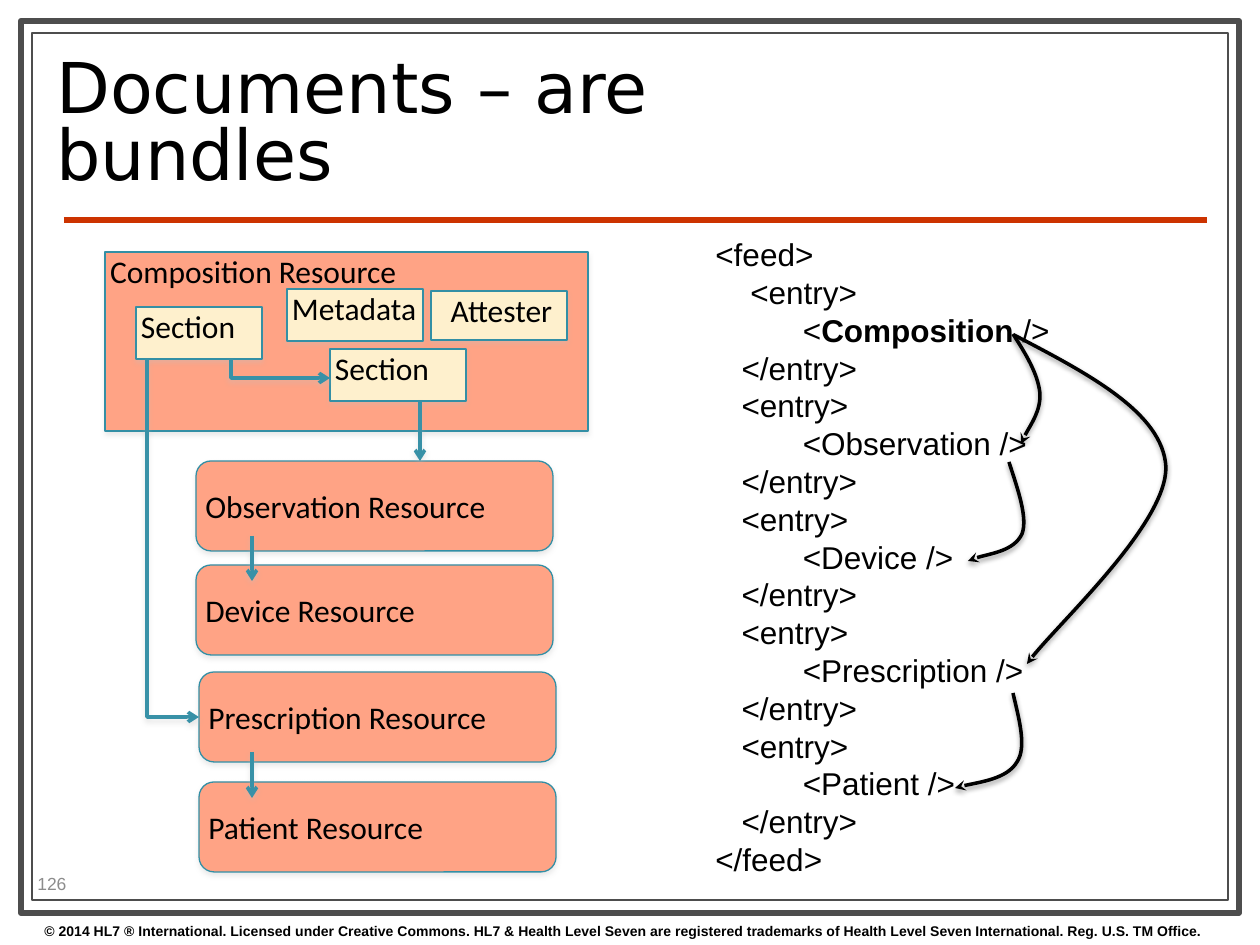
import pptx
import pptx.util
import pptx.dml.color
import pptx.enum.shapes
import pptx.enum.text
import pptx.oxml.ns
import lxml.etree

PX = 914400 / 126  # EMU per pixel
COLORS = {
    "paper": "FFFFFF", "frame": "4D4D4D", "rule": "CC3300", "ink": "000000",
    "page": "8C8C8C", "resource": "FFA385", "part": "FEF0CD",
    "outline": "338FA5", "link": "3891A7", "shade": "C0C0C0",
}
KINDS = pptx.enum.shapes.MSO_SHAPE
ANCHOR = pptx.enum.text.MSO_ANCHOR
ALIGN = pptx.enum.text.PP_ALIGN
qn = pptx.oxml.ns.qn


def emu(*lengths):
    return [round(length * PX) for length in lengths]


def rgb(name):
    return pptx.dml.color.RGBColor.from_string(COLORS[name])


def shift(box, points):
    return [(box[0] + x, box[1] + y) for x, y in points]


def set_line(shape, color, width):
    shape.line.color.rgb = rgb(color)
    shape.line.width = pptx.util.Pt(width)


def set_effects(shape, shade=None, alpha=35, distance=22860):
    """Replace the theme shadow with none, or with a soft one straight below."""
    props = shape._element.spPr
    effects = props.find(qn("a:effectLst"))
    if effects is None:
        effects = lxml.etree.SubElement(props, qn("a:effectLst"))
    if shade:
        shadow = lxml.etree.SubElement(
            effects, qn("a:outerShdw"), blurRad="38100", dist=str(distance),
            dir="5400000", rotWithShape="0")
        tint = lxml.etree.SubElement(shadow, qn("a:srgbClr"), val=COLORS[shade])
        lxml.etree.SubElement(tint, qn("a:alpha"), val=str(alpha * 1000))


def style_arrow(shape, color, head, shade):
    set_line(shape, color, 2)
    outline = shape._element.spPr.find(qn("a:ln"))
    lxml.etree.SubElement(outline, qn("a:tailEnd"), type=head)
    set_effects(shape, shade, 38, 20320)


def format_runs(frame, size, font, color="ink", bold=False):
    for paragraph in frame.paragraphs:
        for run in paragraph.runs:
            run.font.size = pptx.util.Pt(size)
            run.font.name = font
            run.font.color.rgb = rgb(color)
            run.font.bold = bold


def add_label(slide, box, text, size, font, color="ink", bold=False,
              anchor=ANCHOR.TOP):
    frame = slide.shapes.add_textbox(*emu(*box)).text_frame
    frame.word_wrap = True
    frame.vertical_anchor = anchor
    frame.text = text
    format_runs(frame, size, font, color, bold)
    return frame


def add_box(slide, kind, box, fill, line, width):
    shape = slide.shapes.add_shape(kind, *emu(*box))
    shape.shadow.inherit = False
    shape.fill.solid()
    shape.fill.fore_color.rgb = rgb(fill)
    set_line(shape, line, width)
    return shape


def add_resource(slide, kind, box, fill, text, anchor=ANCHOR.TOP, align=ALIGN.LEFT):
    shape = add_box(slide, kind, box, fill, "outline", 0.75)
    set_effects(shape, "shade")
    frame = shape.text_frame
    frame.margin_left = emu(5)[0]
    frame.margin_top = frame.margin_right = frame.margin_bottom = 0
    frame.vertical_anchor = anchor
    frame.text = text
    frame.paragraphs[0].alignment = align
    format_runs(frame, 18, "Calibri")


def add_path(slide, points):
    builder = slide.shapes.build_freeform(*points[0], scale=PX)
    builder.add_line_segments(points[1:], close=False)
    shape = builder.convert_to_shape()
    shape.fill.background()
    shape.shadow.inherit = False
    return shape


def curve_path(shape):
    """Turn each three line segments into one cubic curve."""
    path = shape._element.spPr.find(".//" + qn("a:path"))
    steps = path.findall(qn("a:lnTo"))
    for first in range(0, len(steps), 3):
        curve = lxml.etree.SubElement(path, qn("a:cubicBezTo"))
        for step in steps[first:first + 3]:
            curve.append(step[0])
            path.remove(step)


def draw_frame(slide, box):
    left, top, width, height = box
    # Double border
    add_box(slide, KINDS.RECTANGLE, box, "paper", "frame", 3.5)
    add_box(slide, KINDS.RECTANGLE, (left + 11, top + 12, width - 22, height - 25),
            "paper", "frame", 0.75)
    # Rule under the title
    rule = slide.shapes.add_connector(
        pptx.enum.shapes.MSO_CONNECTOR.STRAIGHT,
        *emu(left + 43, top + 199, left + 1186, top + 199))
    set_line(rule, "rule", 3)
    set_effects(rule)
    # Title, page number and copyright line
    title = add_label(slide, (left + 23, top + 24, 903, 163),
                      "Documents – are bundles", 40, "DejaVu Sans",
                      anchor=ANCHOR.MIDDLE)
    title.paragraphs[0].line_spacing = 0.8
    add_label(slide, (left + 4, top + 847, 100, 30), "126", 10, "Arial", "page",
              anchor=ANCHOR.MIDDLE)
    add_label(slide, (left + 11, top + 895, 1228, 29),
              "© 2014 HL7 ® International. Licensed under Creative Commons. "
              "HL7 & Health Level Seven are registered trademarks of Health Level "
              "Seven International. Reg. U.S. TM Office.", 8, "Arial", bold=True)


def draw_resources(slide, box):
    left, top, width, _ = box
    # Composition and its parts
    add_resource(slide, KINDS.RECTANGLE, (left, top, width, 179), "resource",
                 "Composition Resource")
    for text, x, y, w, h, align in (
            ("Section", 31, 55, 126, 52, ALIGN.LEFT),
            ("Section", 225, 97, 136, 52, ALIGN.LEFT),
            ("Attester", 326, 39, 136, 49, ALIGN.CENTER),
            ("Metadata", 182, 37, 136, 52, ALIGN.LEFT)):
        add_resource(slide, KINDS.RECTANGLE, (left + x, top + y, w, h), "part", text,
                     align=align)
    # Other resources
    for name, x, y in (("Observation", 91, 209), ("Device", 91, 313),
                       ("Prescription", 94, 420), ("Patient", 94, 530)):
        add_resource(slide, KINDS.ROUNDED_RECTANGLE, (left + x, top + y, 357, 90),
                     "resource", name + " Resource", ANCHOR.MIDDLE)
    # Elbow links from the first section
    for elbow in (((126, 107), (126, 126), (225, 126)),
                  ((42, 107), (42, 465), (94, 465))):
        style_arrow(add_path(slide, shift(box, elbow)), "link", "arrow", "shade")
    # Straight links downwards
    for x, start, end in ((315, 150, 209), (147, 284, 329), (147, 500, 546)):
        link = slide.shapes.add_connector(
            pptx.enum.shapes.MSO_CONNECTOR.STRAIGHT,
            *emu(left + x, top + start, left + x, top + end))
        style_arrow(link, "link", "arrow", "shade")


def draw_feed(slide, box):
    # Code of the feed
    lines = ["<feed>"]
    for name in ("Composition", "Observation", "Device", "Prescription", "Patient"):
        indent = "    " if name == "Composition" else "   "
        lines += [indent + "<entry>", f"          <{name} />", "   </entry>"]
    lines.append("</feed>")
    feed = add_label(slide, box, "\n".join(lines), 18, "Arial")
    feed.word_wrap = False
    feed.auto_size = pptx.enum.text.MSO_AUTO_SIZE.SHAPE_TO_FIT_TEXT
    # Composition stands out in bold
    composition = feed.paragraphs[2]
    composition.text = "          <"
    for part in ("Composition", " />"):
        composition.add_run().text = part
    format_runs(feed, 18, "Arial")
    composition.runs[1].font.bold = True
    # References between entries
    for reference in (
            ((310, 105), (323, 125), (335, 145), (337, 164),
             (338, 182), (321, 206), (318, 215)),
            ((311, 106), (386, 145), (460, 184), (463, 238),
             (464, 294), (345, 404), (324, 435)),
            ((306, 233), (315, 261), (325, 289), (319, 305),
             (311, 322), (274, 327), (265, 332)),
            ((310, 464), (316, 490), (324, 518), (314, 533),
             (304, 550), (260, 556), (252, 559))):
        arrow = add_path(slide, shift(box, reference))
        curve_path(arrow)
        style_arrow(arrow, "ink", "stealth", "ink")


def main():
    deck = pptx.Presentation()
    deck.slide_width, deck.slide_height = emu(1260, 945)
    slide = deck.slides.add_slide(deck.slide_layouts[6])
    draw_frame(slide, (21, 21, 1218, 892))
    draw_resources(slide, (105, 252, 483, 620))
    draw_feed(slide, (703, 229, 363, 662))
    deck.save("out.pptx")


if __name__ == "__main__":
    main()
